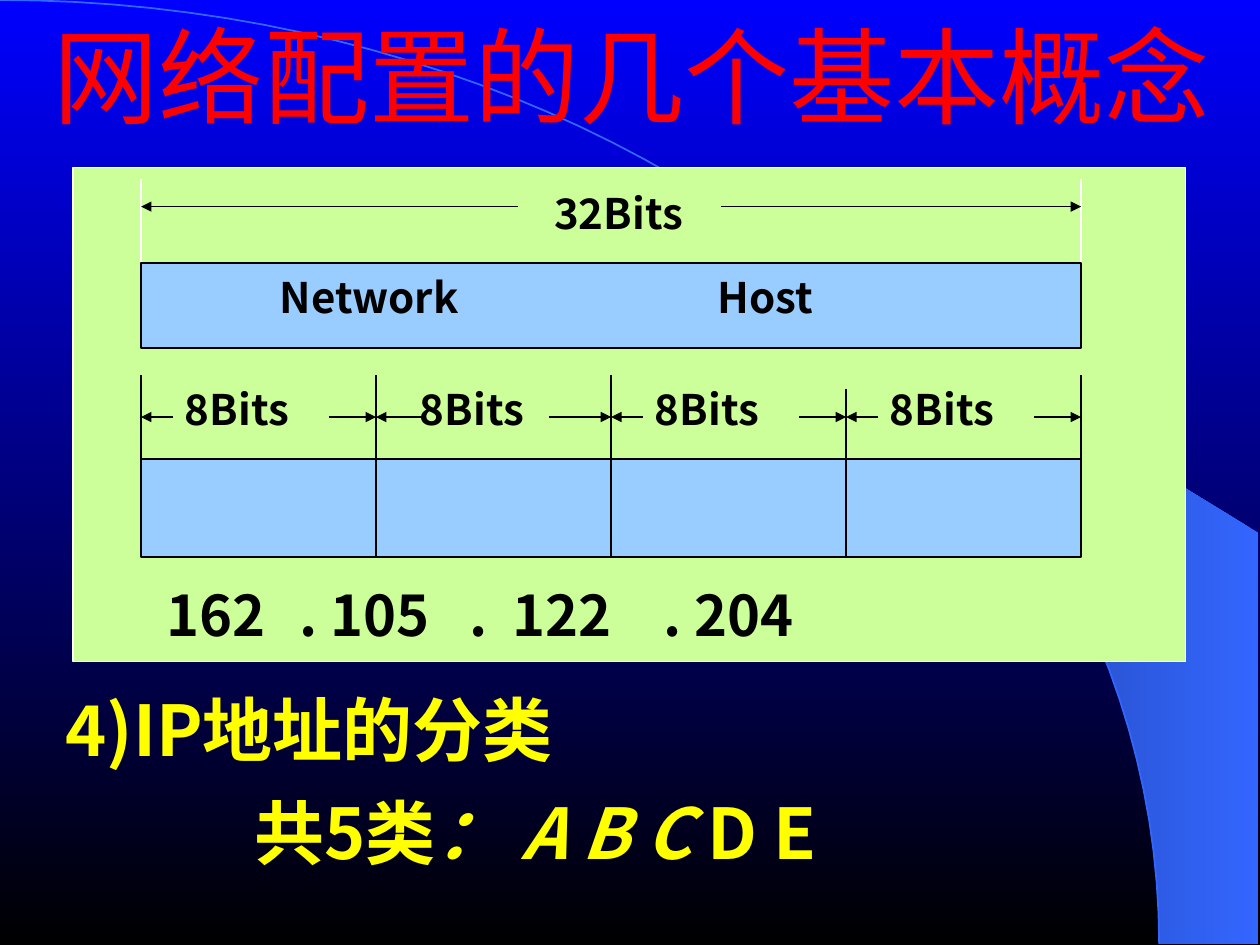
"""Build a slide explaining how a 32-bit IP address is divided."""
from dataclasses import dataclass
from math import asin, cos, pi, sin

from lxml import etree
from pptx import Presentation
from pptx.dml.color import RGBColor
from pptx.enum.shapes import MSO_CONNECTOR, MSO_SHAPE
from pptx.enum.text import PP_ALIGN
from pptx.oxml.ns import qn
from pptx.util import Inches, Pt

STRAIGHT = MSO_CONNECTOR.STRAIGHT
RECTANGLE = MSO_SHAPE.RECTANGLE
LEFT = PP_ALIGN.LEFT
CENTER = PP_ALIGN.CENTER

COLORS = {
    "sky": "0000FF", "night": "000000", "glow": "3366FF", "dusk": "172F75",
    "title": "FF0000", "panel": "CCFF99", "field": "99CCFF",
    "ink": "000000", "guide": "FFFFFF", "heading": "FFFF00",
}
SANS = "Noto Sans CJK SC"
SERIF = "Times New Roman"
ARC_WIDTH, ARC_HEIGHT = 9.2, 7.49
FIELD_LEFT, FIELD_WIDTH, OCTETS = 1.12, 7.46, 4
OCTET_WIDTH = FIELD_WIDTH / OCTETS
FIELD_RIGHT = FIELD_LEFT + FIELD_WIDTH
OCTET_TOP, OCTET_BOTTOM = 3.64, 4.42


@dataclass
class Label:
    text: str
    left: float
    top: float
    width: float
    height: float = 0.5
    size: int = 24
    color: str = "ink"
    font: str = SANS
    bold: bool = True
    align: PP_ALIGN = LEFT


@dataclass
class OctetArrows:
    left_length: float
    right_length: float
    tick_top: float


OCTET_ARROWS = [
    OctetArrows(0.25, 0.37, 2.98), OctetArrows(0.37, 0.49, 2.98),
    OctetArrows(0.25, 0.37, 2.98), OctetArrows(0.25, 0.37, 3.09),
]
LABELS = [
    Label("网络配置的几个基本概念", 0.33, 0, 9.42, 1.1, 60, "title", SERIF, False),
    Label("Network", 1.75, 2.09, 2.36, align=CENTER),
    Label("Host", 5.6, 2.09, 1.87),
    Label("32Bits", 3.73, 1.42, 2.36, align=CENTER),
]
ADDRESS = Label("162\t. 105\t.\t122\t. 204", 1.22, 4.54, 7.36, 0.64, 32)
ADDRESS_TABS = [1.06, 2.41, 2.75, 3.95]
HEADING = Label("4)IP地址的分类", 0.42, 5.37, 9.25, 1.56, 40, "heading")
CLASS_RUNS = [("共5类", False), ("： A B C ", True), ("D E", False)]


def rgb(name: str) -> RGBColor:
    """Return a named colour."""
    return RGBColor.from_string(COLORS[name])


def set_gradient(fill, start: str, end: str, angle: int) -> None:
    """Apply a two-stop linear gradient."""
    fill.gradient()
    fill.gradient_angle = angle
    for stop, name in zip(fill.gradient_stops, (start, end)):
        stop.color.rgb = rgb(name)


def add_run(paragraph, text: str, label: Label, italic: bool = False) -> None:
    """Add a run in the style of a label."""
    run = paragraph.add_run()
    run.text = text
    font = run.font
    font.name, font.size, font.bold, font.italic = label.font, Pt(label.size), label.bold, italic
    font.color.rgb = rgb(label.color)
    east_asian = etree.SubElement(run._r.get_or_add_rPr(), qn("a:ea"))
    east_asian.set("typeface", SANS)


def set_spacing(paragraph, label: Label) -> None:
    """Set alignment and line height for a label."""
    paragraph.alignment = label.align
    paragraph.line_spacing = Pt(label.size * 1.25)


def add_label(slide, label: Label, tabs=()):
    """Add a text box and return its text frame."""
    box = slide.shapes.add_textbox(
        Inches(label.left), Inches(label.top), Inches(label.width), Inches(label.height))
    frame = box.text_frame
    frame.word_wrap = True
    paragraph = frame.paragraphs[0]
    set_spacing(paragraph, label)
    if tabs:
        tab_list = etree.SubElement(paragraph._p.get_or_add_pPr(), qn("a:tabLst"))
        for position in tabs:
            etree.SubElement(tab_list, qn("a:tab"), pos=str(Inches(position)), algn="l")
    add_run(paragraph, label.text, label)
    return frame


def add_box(slide, left: float, top: float, width: float, height: float,
            fill: str, line: str, weight: float = 1):
    """Add a filled rectangle."""
    box = slide.shapes.add_shape(
        RECTANGLE, Inches(left), Inches(top), Inches(width), Inches(height))
    box.shadow.inherit = False
    box.fill.solid()
    box.fill.fore_color.rgb = rgb(fill)
    box.line.color.rgb = rgb(line)
    box.line.width = Pt(weight)
    return box


def add_line(slide, x1: float, y1: float, x2: float, y2: float,
             color: str = "ink", arrow: bool = False):
    """Add a straight line, with an optional arrowhead at its end."""
    line = slide.shapes.add_connector(STRAIGHT, Inches(x1), Inches(y1), Inches(x2), Inches(y2))
    line.line.color.rgb = rgb(color)
    line.line.width = Pt(1)
    if arrow:
        etree.SubElement(line.line._get_or_add_ln(), qn("a:tailEnd"), type="triangle")
    etree.SubElement(line._element.spPr, qn("a:effectLst"))
    return line


def arc_points(start: float, steps: int = 48) -> list[tuple[float, float]]:
    """Return points on the backdrop's quarter ellipse."""
    angles = (start + (pi / 2 - start) * step / steps for step in range(steps + 1))
    return [(ARC_WIDTH * sin(a), ARC_HEIGHT * (1 - cos(a))) for a in angles]


def add_outline(slide, points: list[tuple[float, float]], close: bool):
    """Add a freeform through the given points."""
    corners = [(Inches(x), Inches(y)) for x, y in points]
    builder = slide.shapes.build_freeform(*corners[0])
    builder.add_line_segments(corners[1:], close=close)
    outline = builder.convert_to_shape()
    outline.shadow.inherit = False
    return outline


def add_backdrop(slide) -> None:
    """Draw the background gradient, glowing wedge and arc."""
    set_gradient(slide.background.fill, "sky", "night", 270)
    wedge_arc = arc_points(asin(5.89 / ARC_WIDTH))
    wedge = add_outline(slide, wedge_arc + [(9.99, 7.49), (9.99, 4.23)], True)
    set_gradient(wedge.fill, "glow", "dusk", 180)
    wedge.line.fill.background()
    arc = add_outline(slide, arc_points(0), False)
    arc.fill.background()
    arc.line.color.rgb = rgb("glow")
    arc.line.width = Pt(1)


def add_octets(slide) -> None:
    """Draw the four-octet field with its ticks, arrows and labels."""
    field = add_box(slide, FIELD_LEFT, OCTET_TOP, FIELD_WIDTH, OCTET_BOTTOM - OCTET_TOP,
                    "field", "ink")
    for index, arrows in enumerate(OCTET_ARROWS):
        left = FIELD_LEFT + index * OCTET_WIDTH
        right = left + OCTET_WIDTH
        tick = add_line(slide, left, OCTET_TOP, left, arrows.tick_top)
        if index:
            divider = add_line(slide, left, OCTET_BOTTOM, left, OCTET_TOP)
            if index == OCTETS // 2:
                tick.begin_connect(field, 0)
                divider.begin_connect(field, 2)
                divider.end_connect(field, 0)
        add_line(slide, left + arrows.left_length, 3.31, left, 3.31, arrow=True)
        add_line(slide, right - arrows.right_length, 3.31, right, 3.31, arrow=True)
        add_label(slide, Label("8Bits", left + 0.25, 2.98, 1.37))
    add_line(slide, FIELD_RIGHT, OCTET_TOP, FIELD_RIGHT, 2.98)


def main() -> None:
    """Assemble and save the slide."""
    presentation = Presentation()
    presentation.slide_width, presentation.slide_height = Inches(10), Inches(7.5)
    slide = presentation.slides.add_slide(presentation.slide_layouts[6])
    add_backdrop(slide)
    add_box(slide, 0.58, 1.33, 8.83, 3.92, "panel", "guide", 0.75)
    add_box(slide, FIELD_LEFT, 2.09, FIELD_WIDTH, 0.67, "field", "ink")
    for inner, edge in ((4.11, FIELD_LEFT), (5.72, FIELD_RIGHT)):
        add_line(slide, edge, 2.08, edge, 1.42, "guide")
        add_line(slide, inner, 1.64, edge, 1.64, arrow=True)
    add_octets(slide)
    for label in LABELS:
        add_label(slide, label)
    add_label(slide, ADDRESS, ADDRESS_TABS)
    classes = add_label(slide, HEADING).add_paragraph()
    set_spacing(classes, HEADING)
    classes.space_before = Pt(9)
    classes._p.get_or_add_pPr().set("marL", str(Inches(1.5)))
    for text, italic in CLASS_RUNS:
        add_run(classes, text, HEADING, italic)
    presentation.save("out.pptx")


if __name__ == "__main__":
    main()
